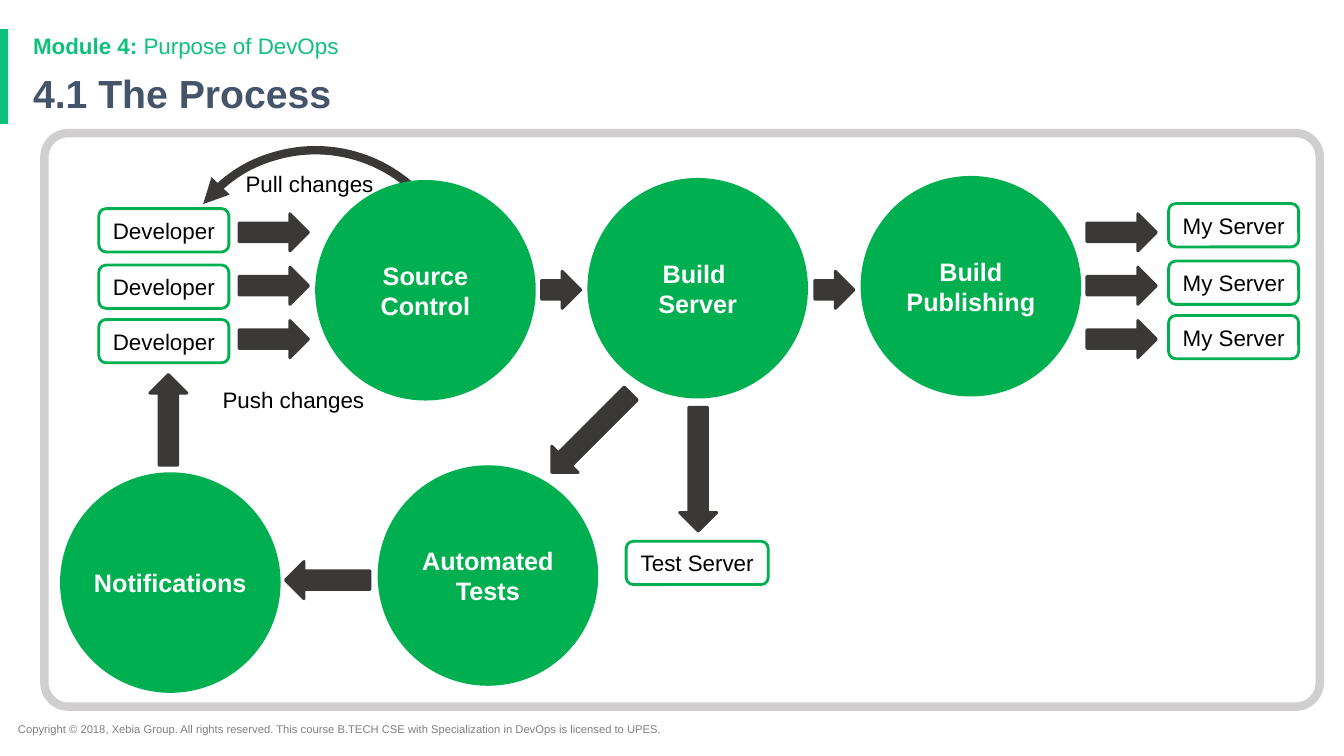
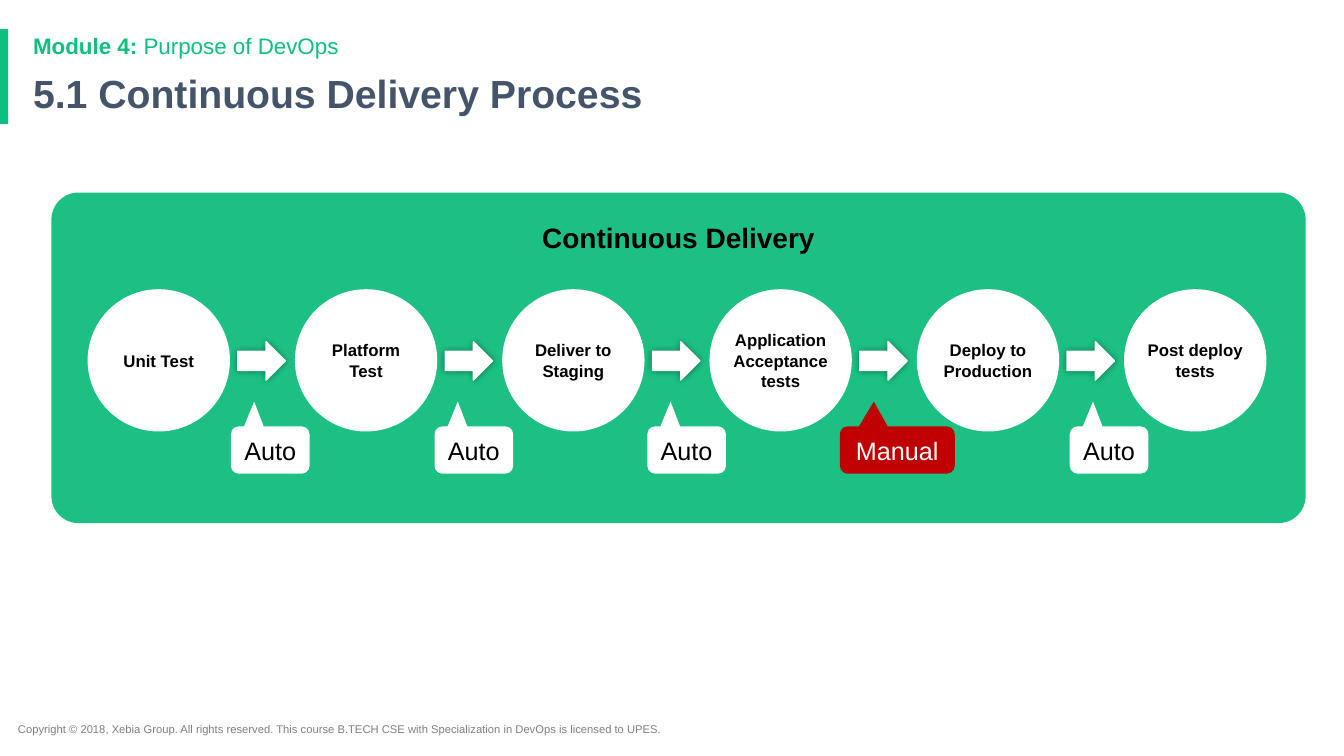
"""Build two slides on the build process and continuous delivery."""
from lxml import etree
from pptx import Presentation
from pptx.dml.color import RGBColor
from pptx.enum.shapes import MSO_SHAPE
from pptx.enum.text import MSO_ANCHOR, PP_ALIGN
from pptx.oxml.ns import qn
from pptx.util import Inches, Pt

RECT, ROUND = MSO_SHAPE.RECTANGLE, MSO_SHAPE.ROUNDED_RECTANGLE
OVAL, ARROW, ARC = MSO_SHAPE.OVAL, MSO_SHAPE.RIGHT_ARROW, MSO_SHAPE.ARC
CALLOUT = MSO_SHAPE.ROUNDED_RECTANGULAR_CALLOUT
LEFT, CENTER = PP_ALIGN.LEFT, PP_ALIGN.CENTER
TOP, MIDDLE = MSO_ANCHOR.TOP, MSO_ANCHOR.MIDDLE
FONT = "Arial"
MINT, SLATE, GRAY, SILVER = "0EC07D", "44546A", "7F7F7F", "D0CECE"
GREEN, DARK, PANEL, RED = "00B050", "3B3838", "1CC083", "C00000"
WHITE, BLACK = "FFFFFF", "000000"
FOOTER = ("Copyright © 2018, Xebia Group. All rights reserved. This course "
          "B.TECH CSE with Specialization in DevOps is licensed to UPES.")
HEADING = [("Module 4: ", True), ("Purpose of DevOps", False)]


def paint(color, value):
    """Set a colour from a hex string."""
    color.rgb = RGBColor.from_string(value)


def write(frame, text, size=16, color=BLACK, bold=False, align=CENTER,
          anchor=MIDDLE, inset=(0, 0, 0, 0), space=None):
    """Write a string, or a list of (text, bold) runs, into a frame."""
    frame.word_wrap = True
    frame.vertical_anchor = anchor
    (frame.margin_left, frame.margin_top,
     frame.margin_right, frame.margin_bottom) = map(Inches, inset)
    par = frame.paragraphs[0]
    par.alignment = align
    par.line_spacing = space
    for part, heavy in [(text, bold)] if isinstance(text, str) else text:
        for row, line in enumerate(part.split("\n")):
            if row:
                par.add_line_break()
            run = par.add_run()
            run.text = line
            run.font.name, run.font.size = FONT, Pt(size)
            run.font.bold = heavy
            paint(run.font.color, color)


def label(slide, box, text, **style):
    """Add a left-aligned text box."""
    area = slide.shapes.add_textbox(*map(Inches, box))
    write(area.text_frame, text, align=LEFT, anchor=TOP,
          inset=(0.1, 0.05, 0.1, 0.05), **style)


def draw(slide, kind, box, fill=None, line=None, width=2, turn=0, adjust=(),
         text=None, **style):
    """Add a preset shape with optional text."""
    shape = slide.shapes.add_shape(kind, *map(Inches, box))
    shape.shadow.inherit = False
    shape.rotation = turn
    for spot, value in enumerate(adjust):
        shape.adjustments[spot] = value
    if fill:
        shape.fill.solid()
        paint(shape.fill.fore_color, fill)
    else:
        shape.fill.background()
    if line:
        shape.line.width = Pt(width)
        paint(shape.line.color, line)
    else:
        shape.line.fill.background()
    if text:
        write(shape.text_frame, text, **style)
    return shape


def glow(shape):
    """Give a shape a soft dark shadow."""
    effects = shape._element.spPr.find(qn("a:effectLst"))
    shade = etree.SubElement(effects, qn("a:outerShdw"), blurRad=str(Pt(5)),
                             dist="0", dir="0", algn="ctr", rotWithShape="0")
    color = etree.SubElement(shade, qn("a:srgbClr"), val=BLACK)
    etree.SubElement(color, qn("a:alpha"), val="40000")


def disc(slide, left, top, text):
    """Add a green stage circle."""
    draw(slide, OVAL, (left, top, 2.16, 2.16), GREEN, GREEN,
         text=text, size=18, color=WHITE, bold=True)


def node(slide, left, top, text, width=1.29):
    """Add a white box with a green outline."""
    draw(slide, ROUND, (left, top, width, 0.43), WHITE, GREEN, text=text)


def arrow(slide, left, top, width, turn=0):
    """Add a dark block arrow."""
    draw(slide, ARROW, (left, top, width, 0.37), DARK, DARK, turn=turn)


def start(deck, title):
    """Add a slide with the band, heading, title and footer."""
    slide = deck.slides.add_slide(deck.slide_layouts[6])
    draw(slide, RECT, (0, 0.29, 0.08, 0.94), MINT)
    label(slide, (0.08, 7.12, 7.13, 0.24), FOOTER, size=8, color=GRAY)
    label(slide, (0.23, 0.69, 11.5, 0.54), title, size=28, color=SLATE,
          bold=True, space=0.9)
    label(slide, (0.23, 0.3, 11.5, 0.33), HEADING, color=MINT, space=0.9)
    return slide


def process(deck):
    """Build the slide on the process."""
    slide = start(deck, "4.1 The Process")
    draw(slide, ROUND, (0.44, 1.32, 12.65, 5.69), line=SILVER, width=6,
         adjust=[0.042])
    curve = draw(slide, ARC, (1.7, 1.49, 2.86, 2.86), line=DARK, width=6,
                 turn=314.8, adjust=(158.392, 0))
    etree.SubElement(curve.line._get_or_add_ln(), qn("a:headEnd"),
                     type="triangle")
    for left, top, text in ((3.14, 1.8, "Source Control"),
                            (5.84, 1.78, "Build \nServer"),
                            (8.55, 1.76, "Build Publishing"),
                            (0.61, 4.7, "Notifications"),
                            (3.76, 4.63, "Automated Tests")):
        disc(slide, left, top, text)
    for left, text, tops in ((0.98, "Developer", (2.07, 2.63, 3.17)),
                             (11.59, "My Server", (2.02, 2.59, 3.13))):
        for top in tops:
            node(slide, left, top, text)
    node(slide, 6.21, 5.37, "Test Server", 1.41)
    draw(slide, ROUND, (2.26, 1.56, 1.62, 0.53), text="Pull changes")
    draw(slide, ROUND, (2.02, 3.7, 1.78, 0.53), text="Push changes")
    for left in (2.37, 10.78):
        for row in range(3):
            arrow(slide, left, 2.12 + 0.53 * row, 0.69)
    for left in (5.37, 8.08):
        arrow(slide, left, 2.69, 0.39)
    arrow(slide, 2.83, 5.57, 0.84, 180)
    arrow(slide, 1.22, 3.98, 0.9, 270)
    arrow(slide, 6.31, 4.47, 1.23, 90)
    arrow(slide, 5.31, 4.11, 1.11, 135)


def deliver(deck):
    """Build the slide on continuous delivery."""
    slide = start(deck, "5.1 Continuous Delivery Process")
    draw(slide, ROUND, (0.51, 1.91, 12.44, 3.28), PANEL, adjust=[0.082],
         text="Continuous Delivery", size=20, bold=True, anchor=TOP,
         inset=(0.1, 0.2, 0.1, 0.05))
    steps = ("Unit Test", "Platform Test", "Deliver to Staging",
             "Application Acceptance tests", "Deploy to Production",
             "Post deploy tests")
    pitch = 2.056
    for spot, text in enumerate(steps):
        draw(slide, OVAL, (0.89 + pitch * spot, 2.89, 1.37, 1.37), WHITE,
             WHITE, 3, text=text, size=12, bold=True)
    for spot in range(len(steps) - 1):
        glow(draw(slide, ARROW, (2.36 + pitch * spot, 3.39, 0.47, 0.38),
                  WHITE, WHITE, 1))
    auto = ("Auto", 0.78, WHITE, BLACK)
    manual = ("Manual", 1.14, RED, WHITE)
    for left, (text, width, fill, color) in ((2.29, auto), (4.31, auto),
                                             (6.42, auto), (8.33, manual),
                                             (10.61, auto)):
        draw(slide, CALLOUT, (left, 4.23, width, 0.47), fill,
             adjust=(-0.204, -1.023, 0.167), text=text, size=18, color=color)


def main():
    """Build and save the deck."""
    deck = Presentation()
    deck.slide_width, deck.slide_height = Inches(13.33), Inches(7.5)
    process(deck)
    deliver(deck)
    deck.save("out.pptx")


if __name__ == "__main__":
    main()
